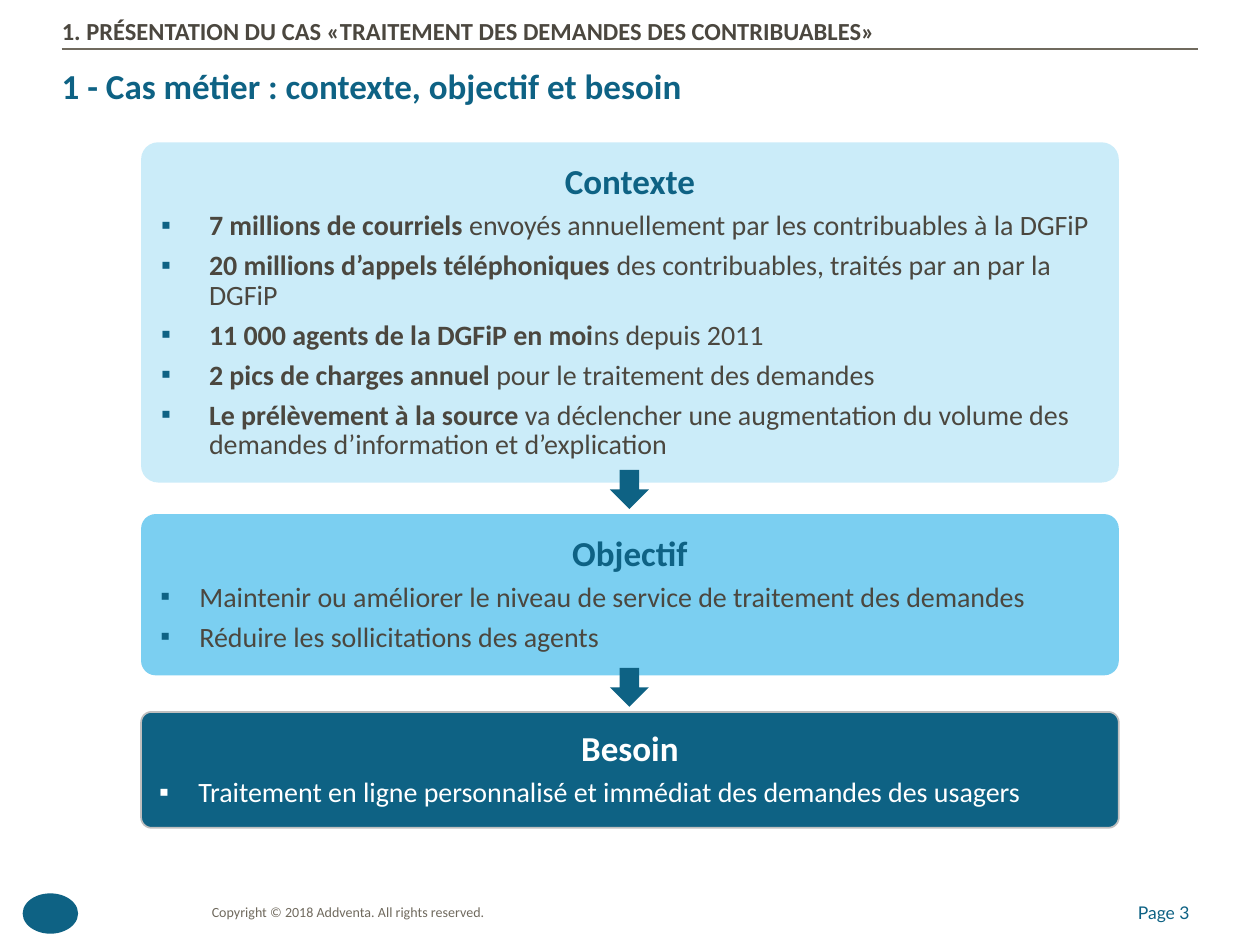
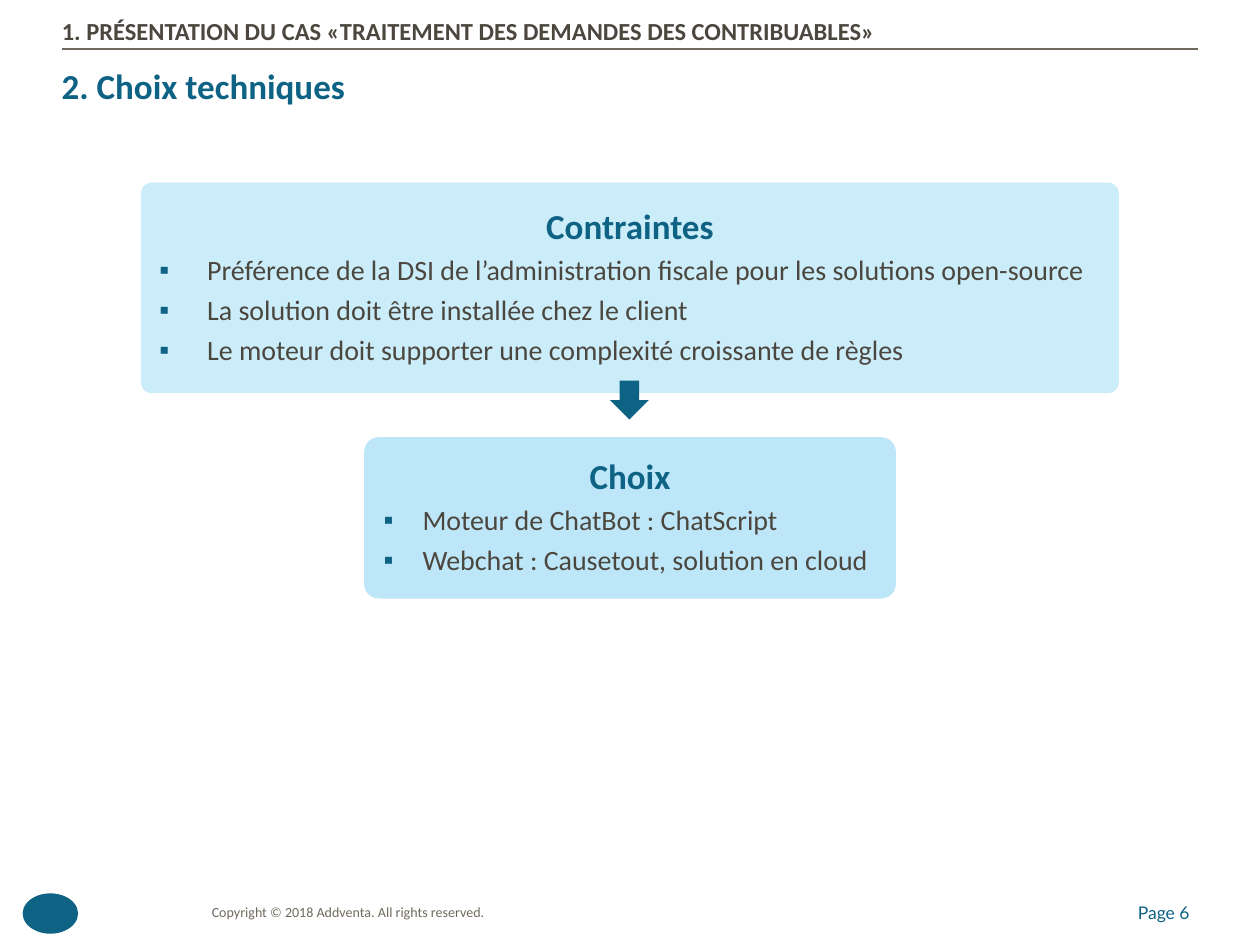
from lxml.etree import SubElement
from pptx import Presentation
from pptx.dml.color import RGBColor
from pptx.enum.shapes import MSO_CONNECTOR, MSO_SHAPE
from pptx.enum.text import MSO_ANCHOR, PP_ALIGN
from pptx.oxml.ns import qn
from pptx.util import Pt

PX = 9144
BLUE, SKY, PALE, ICE = "0E6284", "7BCFF1", "CBECF9", "BDE7F8"
INK, TAUPE, SILVER, WHITE = "4B473F", "706A5E", "BFBFBF", "FFFFFF"
SECTION = "1. PRÉSENTATION DU CAS «TRAITEMENT DES DEMANDES DES CONTRIBUABLES»"
COPYRIGHT = "Copyright © 2018 Addventa. All rights reserved."
SLIDE_WIDTH, SLIDE_HEIGHT = 1000, 750
ARROW_SIZE = 31


def px(*lengths):
    """Turn lengths in px into EMU."""
    return [length * PX for length in lengths]


def color(hex_code):
    """Turn a hex string into a colour."""
    return RGBColor.from_string(hex_code)


class Deck:
    """Holds the style and the current slide."""

    def __init__(self):
        """Start an empty presentation."""
        self.presentation = Presentation()
        self.presentation.slide_width, self.presentation.slide_height = px(SLIDE_WIDTH, SLIDE_HEIGHT)
        self.slide = None

    def start_slide(self, heading, page):
        """Add a slide with its header and footer."""
        self.slide = self.presentation.slides.add_slide(self.presentation.slide_layouts[6])
        self.text(COPYRIGHT, (153, 720, 247, 8), 8, TAUPE, align=PP_ALIGN.CENTER)
        self.text(f"Page {page}", (860, 720, 84, 8), 10, BLUE, name="Lato", align=PP_ALIGN.RIGHT)
        self.shape(MSO_SHAPE.OVAL, (18, 709, 44, 32), BLUE)
        self.rule(49, 951, 39)
        self.text(heading, (49, 54, 927, 55), 20, BLUE, bold=True,
                  anchor=MSO_ANCHOR.TOP, spacing=Pt(22))
        self.text(SECTION, (49, 10, 902, 31), 14, INK, bold=True, spacing=0.9)

    def style(self, paragraph, size, ink, bold=None, name="Calibri"):
        """Set the font of a paragraph."""
        font = paragraph.font
        font.size, font.name, font.bold = Pt(size), name, bold
        font.color.rgb = color(ink)

    def frame(self, holder, margins, anchor=MSO_ANCHOR.MIDDLE):
        """Prepare the text frame of a shape or box."""
        frame = holder.text_frame
        frame.word_wrap, frame.vertical_anchor = True, anchor
        (frame.margin_left, frame.margin_top,
         frame.margin_right, frame.margin_bottom) = px(*margins)
        return frame

    def text(self, wording, place, size, ink, bold=None, name="Calibri",
             align=PP_ALIGN.LEFT, anchor=MSO_ANCHOR.MIDDLE, spacing=None):
        """Add a one-paragraph text box."""
        box = self.slide.shapes.add_textbox(*px(*place))
        paragraph = self.frame(box, (0, 0, 0, 0), anchor).paragraphs[0]
        paragraph.text, paragraph.alignment, paragraph.line_spacing = wording, align, spacing
        self.style(paragraph, size, ink, bold, name)

    def rule(self, left, right, y):
        """Add a thin horizontal line."""
        line = self.slide.shapes.add_connector(MSO_CONNECTOR.STRAIGHT, *px(left, y, right, y))
        line.line.color.rgb, line.line.width = color(TAUPE), Pt(0.75)
        SubElement(line._element.spPr, qn("a:effectLst"))

    def shape(self, kind, place, fill, outline=None):
        """Add a flat preset shape."""
        shape = self.slide.shapes.add_shape(kind, *px(*place))
        shape.shadow.inherit = False
        shape.fill.solid()
        shape.fill.fore_color.rgb = color(fill)
        if outline:
            shape.line.color.rgb, shape.line.width = color(outline), Pt(1)
        else:
            shape.line.fill.background()
        return shape

    def arrow(self, top):
        """Add a centred arrow pointing down to the next card."""
        self.shape(MSO_SHAPE.DOWN_ARROW, (484, top, ARROW_SIZE, ARROW_SIZE), BLUE)

    def bullet(self, paragraph, indent, ink):
        """Give a paragraph a hanging square bullet."""
        properties = paragraph._p.get_or_add_pPr()
        properties.set("marL", str(indent * PX))
        properties.set("indent", str(-indent * PX))
        SubElement(SubElement(properties, qn("a:buClr")), qn("a:srgbClr")).set("val", ink)
        SubElement(properties, qn("a:buFont")).set("typeface", "Arial")
        SubElement(properties, qn("a:buChar")).set("char", "▪")

    def card(self, title, points, top, height, fill, left=112, corner=0.09, indent=31,
             accent=BLUE, ink=INK, outline=None):
        """Add a centred card whose points are (bold part, plain part) pairs."""
        place = (left, top, SLIDE_WIDTH - 2 * left, height)
        card = self.shape(MSO_SHAPE.ROUNDED_RECTANGLE, place, fill, outline)
        card.adjustments[0] = corner
        frame = self.frame(card, (12, 12, 12, 16))
        heading = frame.paragraphs[0]
        heading.text, heading.alignment = title, PP_ALIGN.CENTER
        self.style(heading, 20, accent, bold=True)
        for strong, plain in points:
            point = frame.add_paragraph()
            point.alignment = PP_ALIGN.LEFT
            point.line_spacing, point.space_before = Pt(16.8), Pt(6)
            self.bullet(point, indent, accent)
            self.style(point, 16, ink)
            if strong:
                run = point.add_run()
                run.text, run.font.bold = strong, True
            point.add_run().text = plain


def business_case(deck):
    """Build the slide on context, goal and need."""
    deck.start_slide("1 - Cas métier : contexte, objectif et besoin", 3)
    deck.card("Contexte", [
        ("7 millions de courriels ", "envoyés annuellement par les contribuables à la DGFiP"),
        ("20 millions d’appels téléphoniques ", "des contribuables, traités par an par la DGFiP"),
        ("11 000 agents de la DGFiP en moi", "ns depuis 2011"),
        ("2 pics de charges annuel ", "pour le traitement des demandes"),
        ("Le prélèvement à la source", " va déclencher une augmentation du volume des "
                                       "demandes d’information et d’explication"),
    ], 113, 270, PALE, corner=0.05, indent=38)
    deck.card("Objectif", [
        ("", "Maintenir ou améliorer le niveau de service de traitement des demandes"),
        ("", "Réduire les sollicitations des agents"),
    ], 408, 128, SKY)
    deck.card("Besoin", [
        ("", "Traitement en ligne personnalisé et immédiat des demandes des usagers"),
    ], 565, 92, BLUE, accent=WHITE, ink=WHITE, outline=SILVER)
    for top in (373, 530):
        deck.arrow(top)


def technical_choices(deck):
    """Build the slide on constraints and choices."""
    deck.start_slide("2. Choix techniques", 6)
    deck.card("Contraintes", [
        ("", "Préférence de la DSI de l’administration fiscale pour les solutions open-source"),
        ("", "La solution doit être installée chez le client"),
        ("", "Le moteur doit supporter une complexité croissante de règles"),
    ], 145, 167, PALE, corner=0.05, indent=38)
    deck.card("Choix", [
        ("", "Moteur de ChatBot : ChatScript"),
        ("", "Webchat : Causetout, solution en cloud"),
    ], 347, 128, ICE, left=289)
    deck.arrow(302)


def main():
    """Build and save the slides."""
    deck = Deck()
    business_case(deck)
    technical_choices(deck)
    deck.presentation.save("out.pptx")


if __name__ == "__main__":
    main()
